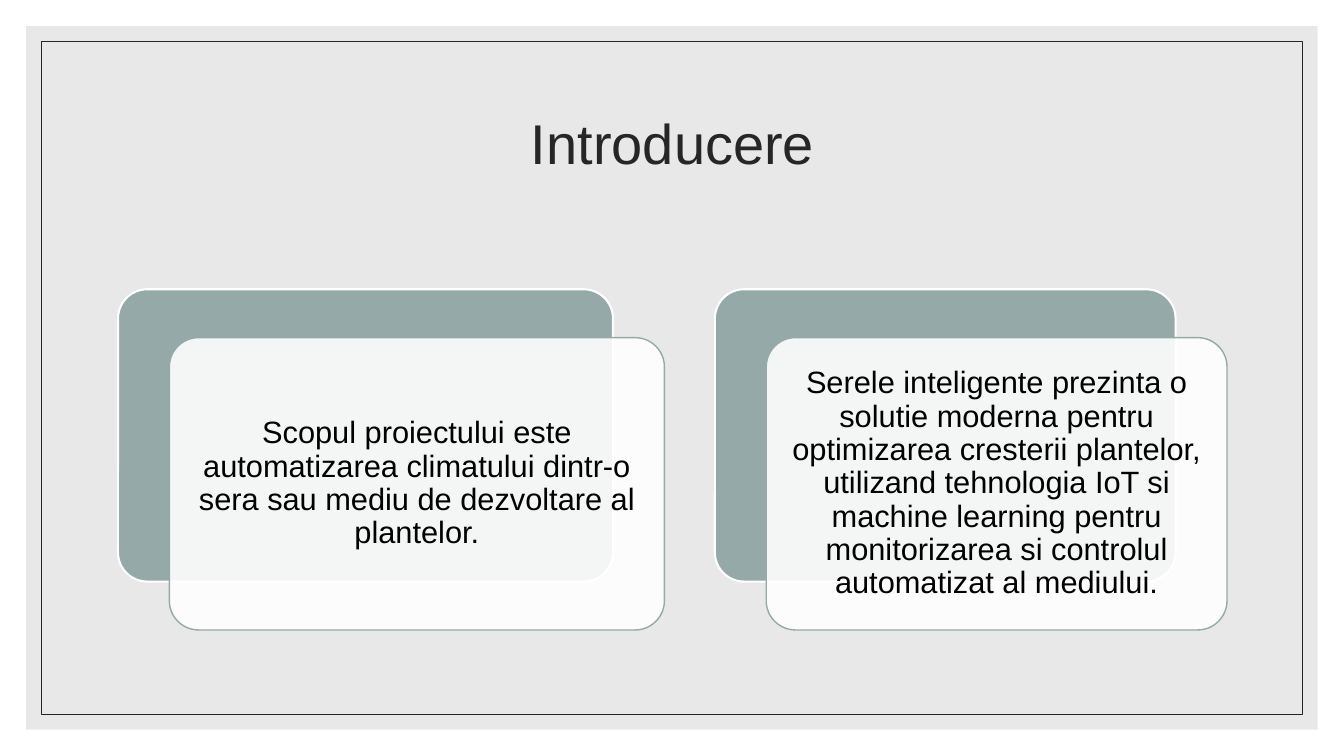
from dataclasses import dataclass

from lxml import etree
from pptx import Presentation
from pptx.dml.color import RGBColor
from pptx.enum.shapes import MSO_SHAPE
from pptx.enum.text import MSO_ANCHOR, PP_ALIGN
from pptx.oxml.ns import qn
from pptx.util import Inches, Pt

SLIDE_WIDTH, SLIDE_HEIGHT = 13.33, 7.5


@dataclass(frozen=True)
class Theme:
    font: str = "Arial"
    white: str = "FFFFFF"
    panel: str = "D9D9D9"
    ink: str = "262626"
    sage: str = "96A9A9"
    body: str = "000000"
    title_size: float = 40
    body_size: float = 22


THEME = Theme()

MESSAGES = [
    (1.17, 4.91, "Scopul proiectului este automatizarea climatului dintr-o sera "
                 "sau mediu de dezvoltare al plantelor."),
    (7.09, 4.57, "Serele inteligente prezinta o solutie moderna pentru optimizarea "
                 "cresterii plantelor, utilizand tehnologia IoT si machine learning "
                 "pentru monitorizarea si controlul automatizat al mediului."),
]


def add_panel(slide, kind, box, fill=None, opacity=100, line=None, line_width=1):
    """Add a flat shape; box is left, top, width, height in inches."""
    panel = slide.shapes.add_shape(kind, *map(Inches, box))
    panel.shadow.inherit = False
    if fill:
        panel.fill.solid()
        panel.fill.fore_color.rgb = RGBColor.from_string(fill)
        if opacity < 100:
            color = panel.fill._xPr.find(".//" + qn("a:srgbClr"))
            etree.SubElement(color, qn("a:alpha"), val=str(opacity * 1000))
    else:
        panel.fill.background()
    if line:
        panel.line.color.rgb = RGBColor.from_string(line)
        panel.line.width = Pt(line_width)
    else:
        panel.line.fill.background()
    return panel


def write_centred(shape, text, size, color, inset):
    frame = shape.text_frame
    frame.text = text
    frame.word_wrap = True
    frame.vertical_anchor = MSO_ANCHOR.MIDDLE
    frame.margin_left = frame.margin_right = Inches(inset)
    frame.margin_top = frame.margin_bottom = Inches(inset)
    paragraph = frame.paragraphs[0]
    paragraph.alignment = PP_ALIGN.CENTER
    paragraph.line_spacing = 0.9
    font = paragraph.runs[0].font
    font.name = THEME.font
    font.size = Pt(size)
    font.color.rgb = RGBColor.from_string(color)


def add_frame(slide):
    def inset_box(margin):
        return margin, margin, SLIDE_WIDTH - 2 * margin, SLIDE_HEIGHT - 2 * margin

    add_panel(slide, MSO_SHAPE.RECTANGLE, inset_box(0.26), THEME.panel, opacity=60)
    add_panel(slide, MSO_SHAPE.RECTANGLE, inset_box(0.41), line=THEME.ink, line_width=0.5)


def add_title(slide, box, text):
    title = slide.shapes.title
    title.left, title.top, title.width, title.height = map(Inches, box)
    write_centred(title, text, THEME.title_size, THEME.ink, inset=0.1)
    # The translucent frame must lie behind the title.
    title.element.getparent().append(title.element)


def add_card(slide, box, text):
    """Place a sage plate in box and a white card shifted down and right over it."""
    left, top, width, height = box
    plate = add_panel(slide, MSO_SHAPE.ROUNDED_RECTANGLE, box,
                      THEME.sage, line=THEME.white, line_width=1.5)
    card = add_panel(slide, MSO_SHAPE.ROUNDED_RECTANGLE,
                     (left + 0.51, top + 0.48, width, height),
                     THEME.white, opacity=90, line=THEME.sage)
    for layer in (plate, card):
        layer.adjustments[0] = 0.1
    # The rounded corners already add 0.08 to this inset.
    write_centred(card, text, THEME.body_size, THEME.body, inset=0.09)


def build_introduction(presentation):
    slide = presentation.slides.add_slide(presentation.slide_layouts[5])
    add_frame(slide)
    add_title(slide, (1.17, 0.7, 11, 1.5), "Introducere")
    for left, width, text in MESSAGES:
        add_card(slide, (left, 2.87, width, 2.9), text)


def main():
    presentation = Presentation()
    presentation.slide_width = Inches(SLIDE_WIDTH)
    presentation.slide_height = Inches(SLIDE_HEIGHT)
    build_introduction(presentation)
    presentation.save("out.pptx")


if __name__ == "__main__":
    main()
